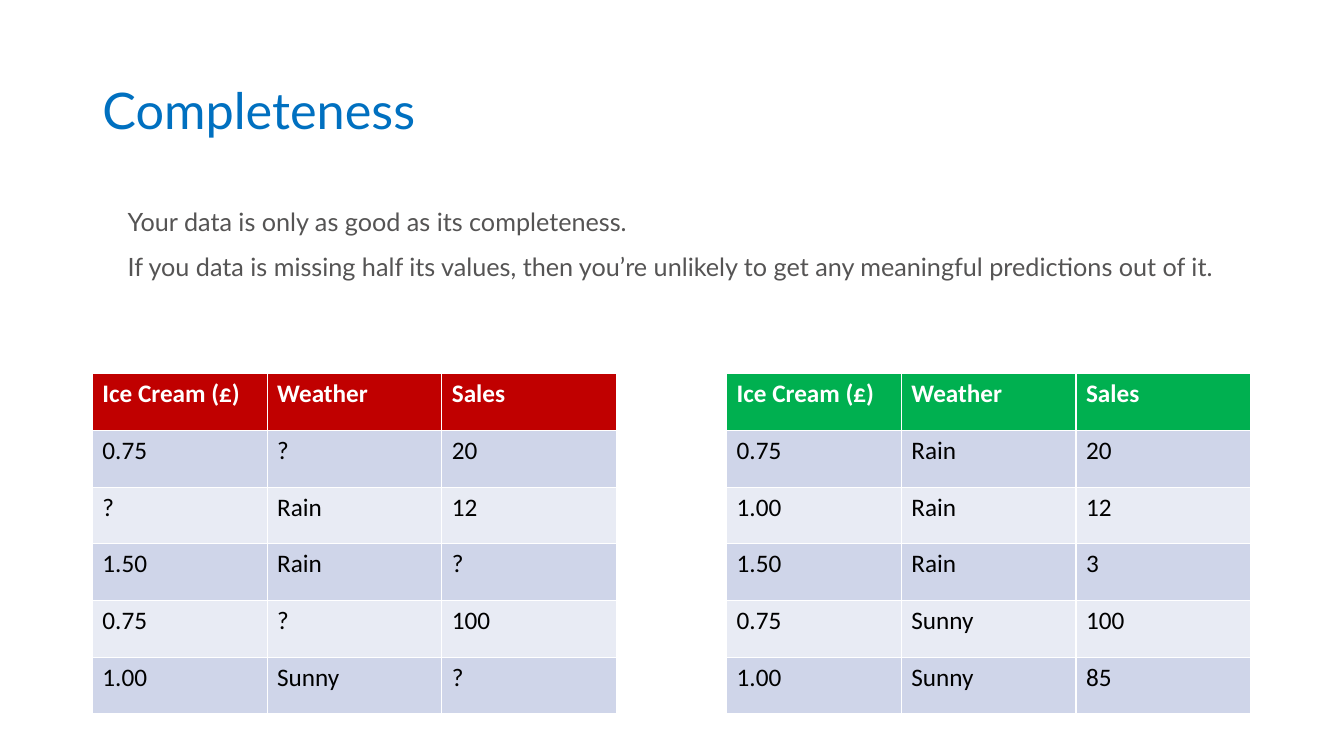
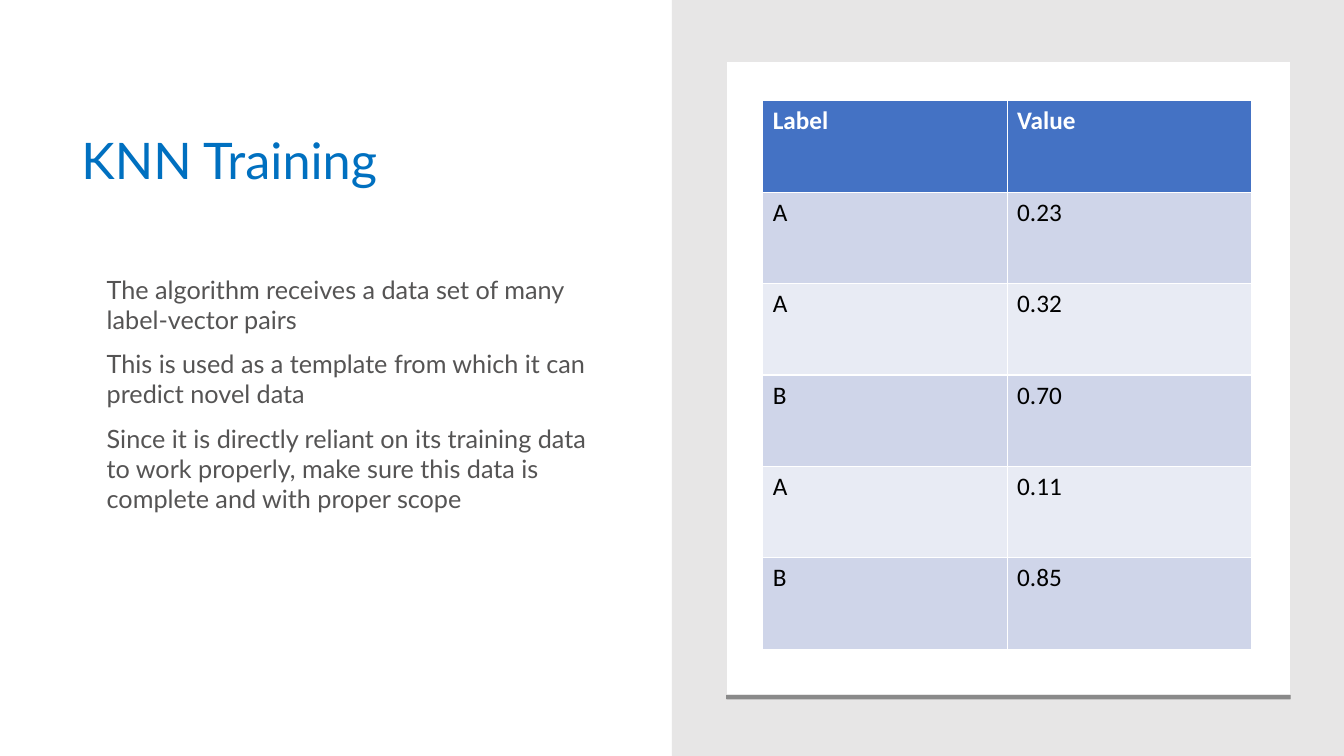
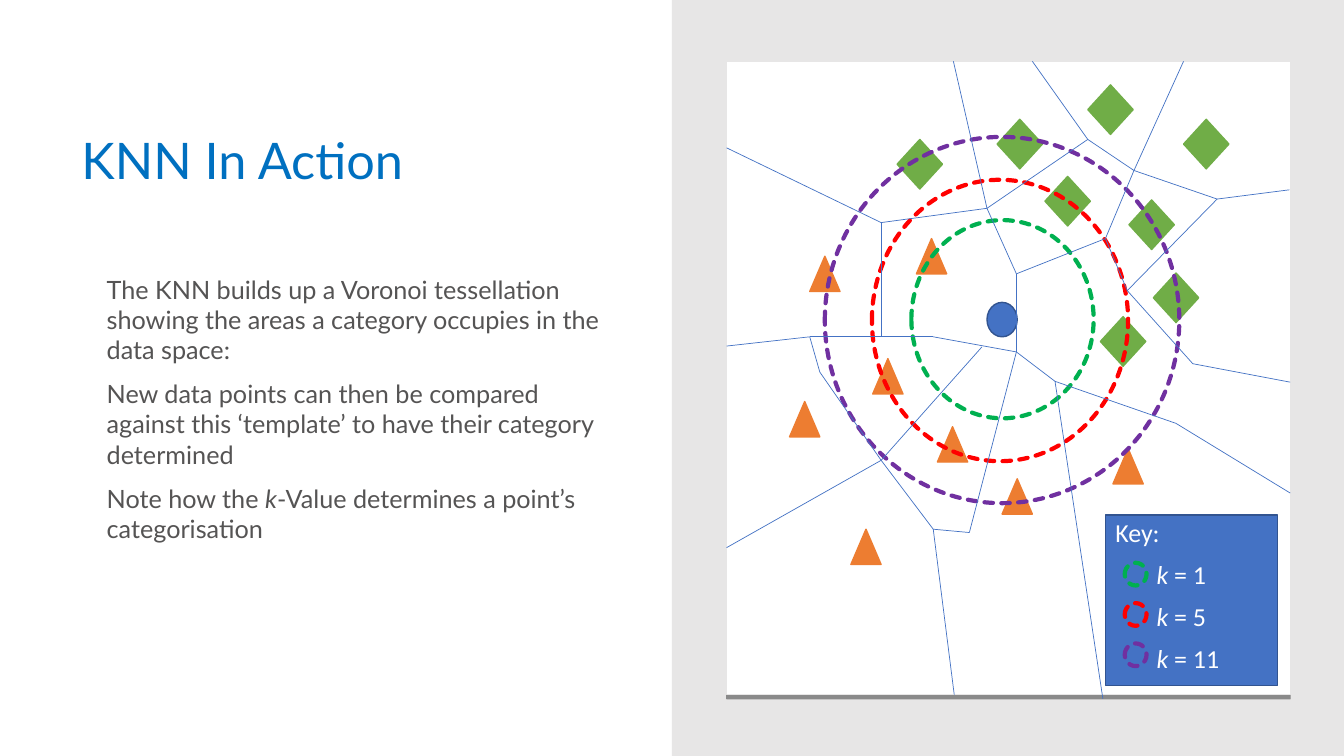
from itertools import pairwise

from lxml.etree import SubElement
from pptx import Presentation
from pptx.dml.color import RGBColor
from pptx.enum.dml import MSO_LINE
from pptx.enum.shapes import MSO_CONNECTOR, MSO_SHAPE
from pptx.enum.text import MSO_ANCHOR, MSO_AUTO_SIZE, PP_ALIGN
from pptx.oxml.ns import qn
from pptx.util import Inches, Pt

WHITE = RGBColor(0xFF, 0xFF, 0xFF)
BLACK = RGBColor(0x00, 0x00, 0x00)
TITLE = RGBColor(0x00, 0x70, 0xC0)
BODY = RGBColor(0x55, 0x54, 0x54)
PANEL = RGBColor(0xE7, 0xE6, 0xE6)
BLUE = RGBColor(0x44, 0x72, 0xC4)
NAVY = RGBColor(0x32, 0x54, 0x90)
ORANGE = RGBColor(0xED, 0x7D, 0x31)
LEAF = RGBColor(0x70, 0xAD, 0x47)
GREEN = RGBColor(0x00, 0xB0, 0x50)
RED = RGBColor(0xFF, 0x00, 0x00)
CRIMSON = RGBColor(0xC0, 0x00, 0x00)
PURPLE = RGBColor(0x70, 0x30, 0xA0)
BANDS = (RGBColor(0xE8, 0xEB, 0xF4), RGBColor(0xCF, 0xD5, 0xE9))

COLS, ROWS = 160, 90
WIDTH, HEIGHT = Inches(13.33), Inches(7.5)

WIDE = ((11, 4.8, 138, 17.4), (11, 24, 138, 57.1))
HALF = ((8.5, 8.4, 65, 22), (8.5, 32, 65, 49.6))
CARD = (86.5, 7.3, 67.1, 75.4)

HEAD = ("Ice Cream (£)", "Weather", "Sales")
GAPS = (HEAD, ("0.75", "?", "20"), ("?", "Rain", "12"), ("1.50", "Rain", "?"),
        ("0.75", "?", "100"), ("1.00", "Sunny", "?"))
FULL = (HEAD, ("0.75", "Rain", "20"), ("1.00", "Rain", "12"), ("1.50", "Rain", "3"),
        ("0.75", "Sunny", "100"), ("1.00", "Sunny", "85"))
PAIRS = (("Label", "Value"), ("A", "0.23"), ("A", "0.32"), ("B", "0.70"),
         ("A", "0.11"), ("B", "0.85"))

PEAKS = ((109.1, 28.4), (96.4, 30.5), (103.9, 42.7), (94, 47.8),
         (111.6, 50.8), (101.3, 63), (119.3, 57), (132.5, 53.4))
GEMS = ((118.7, 14.2), (131, 37.7), (124.4, 21), (140.9, 14.2),
        (134.4, 23.8), (106.8, 16.6), (137.3, 32.5), (129.5, 10.1))
RINGS = ((GREEN, (108.5, 26.2, 21.7, 23.6)), (RED, (103.8, 21.4, 30.5, 33.5)),
         (PURPLE, (98.2, 16.3, 42.2, 43.6)))

NODES = {
    "a": (104.9, 26.5), "b": (117.5, 24.8), "c": (121, 32.6), "d": (121, 41.9),
    "e": (111.1, 40.1), "f": (104.9, 40.1), "g": (104.9, 54.8), "h": (116.9, 41.3),
    "i": (97.6, 44.3), "j": (96.4, 40.1), "k": (111.1, 63), "l": (115.4, 63.4),
    "m": (125.6, 45.4), "n": (129.5, 16.6), "o": (131.6, 28.4), "p": (135, 20.3),
    "q": (144.9, 23.7), "r": (134.2, 34.6), "s": (142, 43.3), "t": (140, 50.4),
}
PATHS = ("abcdejigkld", "gh", "fa", "dmt", "bnpqrs", "cor", "po")
EDGES = (("j", (86.5, 41.2)), ("g", (86.5, 65.2)), ("a", (86.5, 17.6)),
         ("k", (113.6, 82.7)), ("b", (113.5, 7.3)), ("n", (122.9, 7.3)),
         ("p", (140.9, 7.3)), ("q", (153.5, 22.6)), ("m", (131.3, 83.2)),
         ("t", (153.6, 58.7)), ("s", (153.6, 45.5)))


def grid(*cells):
    """Turn alternating columns and rows into slide lengths."""
    units = (WIDTH / COLS, HEIGHT / ROWS)
    return [round(cell * units[n % 2]) for n, cell in enumerate(cells)]


def style(para, size, color, face, bold=False):
    """Format every run of a paragraph."""
    for run in para.runs:
        font = run.font
        font.size, font.name, font.bold = Pt(size), face, bold
        font.color.rgb = color


def write(para, text):
    """Fill a paragraph, with the parts between asterisks in italics."""
    for n, part in enumerate(text.split("*")):
        if part:
            run = para.add_run()
            run.text = part
            run.font.italic = n % 2 == 1


def indent(para, inches):
    """Set a plain left indent without a bullet."""
    props = para._p.get_or_add_pPr()
    props.set("marL", str(Inches(inches)))
    props.set("indent", "0")
    SubElement(props, qn("a:buNone"))


def place(holder, area, anchor):
    """Move a placeholder and fix its frame."""
    holder.left, holder.top, holder.width, holder.height = grid(*area)
    frame = holder.text_frame
    frame.word_wrap = True
    frame.auto_size = MSO_AUTO_SIZE.NONE
    frame.vertical_anchor = anchor
    return frame


def fill_list(frame, lines, inset, look, spacing=1.0):
    """Write lines as evenly spaced paragraphs."""
    for n, line in enumerate(lines):
        para = frame.paragraphs[0] if n == 0 else frame.add_paragraph()
        para.alignment = PP_ALIGN.LEFT
        para.space_before, para.space_after = Pt(10), Pt(0)
        para.line_spacing = spacing
        indent(para, inset(n))
        write(para, line)
        style(para, *look)


def add_page(deck, title, lines, areas):
    """Add a slide with its title and body text."""
    slide = deck.slides.add_slide(deck.slide_layouts[1])
    head, body = slide.placeholders
    frame = place(head, areas[0], MSO_ANCHOR.MIDDLE)
    frame.text = title
    para = frame.paragraphs[0]
    para.alignment, para.line_spacing = PP_ALIGN.LEFT, 0.9
    style(para, 36, TITLE, "Lato")
    frame = place(body, areas[1], MSO_ANCHOR.TOP)
    fill_list(frame, lines, lambda n: 0.25, (18, BODY, "Lato"))
    return slide


def add_form(slide, kind, area, fill=None, line=None, weight=1):
    """Add a flat preset shape."""
    form = slide.shapes.add_shape(kind, *grid(*area))
    form.shadow.inherit = False
    if fill is None:
        form.fill.background()
    else:
        form.fill.solid()
        form.fill.fore_color.rgb = fill
    if line is None:
        form.line.fill.background()
    else:
        form.line.color.rgb = line
        form.line.width = Pt(weight)
    return form


def add_ring(slide, area, color):
    """Add a dashed ring with round dashes."""
    ring = add_form(slide, MSO_SHAPE.OVAL, area, line=color, weight=3)
    ring.line.dash_style = MSO_LINE.SQUARE_DOT
    ring.element.spPr.find(qn("a:ln")).set("cap", "rnd")


def add_edge(slide, start, end):
    """Add one thin cell border."""
    edge = slide.shapes.add_connector(MSO_CONNECTOR.STRAIGHT, *grid(*start, *end))
    edge.line.color.rgb = BLUE
    edge.line.width = Pt(0.5)
    SubElement(edge.element.spPr, qn("a:effectLst"))


def add_card(slide):
    """Add the grey half with a white card that casts a shadow."""
    add_form(slide, MSO_SHAPE.RECTANGLE, (COLS / 2, 0, COLS / 2, ROWS), PANEL)
    card = add_form(slide, MSO_SHAPE.RECTANGLE, CARD, WHITE, PANEL, 0.75)
    effects = card.element.spPr.find(qn("a:effectLst"))
    shade = SubElement(effects, qn("a:outerShdw"), blurRad="0",
                       dist=str(Pt(3)), dir="5400000", algn="t", rotWithShape="0")
    color = SubElement(shade, qn("a:srgbClr"), val=str(BLACK))
    SubElement(color, qn("a:alpha"), val="40000")


def add_data(slide, rows, area, color):
    """Add a banded table with a coloured head row."""
    frame = slide.shapes.add_table(len(rows), len(rows[0]), *grid(*area))
    for y, row in enumerate(rows):
        for x, text in enumerate(row):
            cell = frame.table.cell(y, x)
            cell.fill.solid()
            cell.fill.fore_color.rgb = BANDS[y % 2] if y else color
            cell.text_frame.text = text
            ink = BLACK if y else WHITE
            style(cell.text_frame.paragraphs[0], 18, ink, "Calibri", y == 0)


def add_key(slide):
    """Add the key to the rings."""
    key = add_form(slide, MSO_SHAPE.RECTANGLE, (131.6, 61.3, 20.5, 20.3), BLUE, NAVY)
    frame = key.text_frame
    frame.word_wrap = True
    frame.vertical_anchor = MSO_ANCHOR.TOP
    lines = ("Key:", "*k* = 1", "*k* = 5", "*k* = 11")
    fill_list(frame, lines, lambda n: 0.41 if n else 0, (18.5, WHITE, "Calibri"), 0.9)
    for n, (color, _) in enumerate(RINGS):
        add_ring(slide, (133.9, 67 + 4.8 * n, 2.6, 2.7), color)


def add_map(slide):
    """Add the points, rings and cell borders."""
    for spot in PEAKS:
        add_form(slide, MSO_SHAPE.ISOSCELES_TRIANGLE, (*spot, 3.6, 4.2), ORANGE, ORANGE)
    for spot in GEMS:
        add_form(slide, MSO_SHAPE.DIAMOND, (*spot, 5.4, 5.9), LEAF, LEAF)
    add_form(slide, MSO_SHAPE.OVAL, (117.5, 36, 3.6, 4.1), BLUE, NAVY)
    for color, area in RINGS:
        add_ring(slide, area, color)
    for path in PATHS:
        for start, end in pairwise(path):
            add_edge(slide, NODES[start], NODES[end])
    for start, end in EDGES:
        add_edge(slide, NODES[start], end)


def main():
    """Build and save the deck."""
    deck = Presentation()
    deck.slide_width, deck.slide_height = WIDTH, HEIGHT

    slide = add_page(deck, "Completeness", (
        "Your data is only as good as its completeness.",
        "If you data is missing half its values, then you’re unlikely to get "
        "any meaningful predictions out of it."), WIDE)
    add_data(slide, GAPS, (11, 44.5, 62.4, 40.5), CRIMSON)
    add_data(slide, FULL, (86.5, 44.5, 62.4, 40.5), GREEN)

    slide = add_page(deck, "KNN Training", (
        "The algorithm receives a data set of many label-vector pairs",
        "This is used as a template from which it can predict novel data",
        "Since it is directly reliant on its training data to work properly, "
        "make sure this data is complete and with proper scope"), HALF)
    add_card(slide)
    add_data(slide, PAIRS, (90.8, 12, 58.2, 65.3), BLUE)

    slide = add_page(deck, "KNN In Action", (
        "The KNN builds up a Voronoi tessellation showing the areas a category "
        "occupies in the data space:",
        "New data points can then be compared against this ‘template’ to have "
        "their category determined",
        "Note how the *k*-Value determines a point’s categorisation"), HALF)
    add_card(slide)
    add_map(slide)
    add_key(slide)

    deck.save("out.pptx")


if __name__ == "__main__":
    main()
